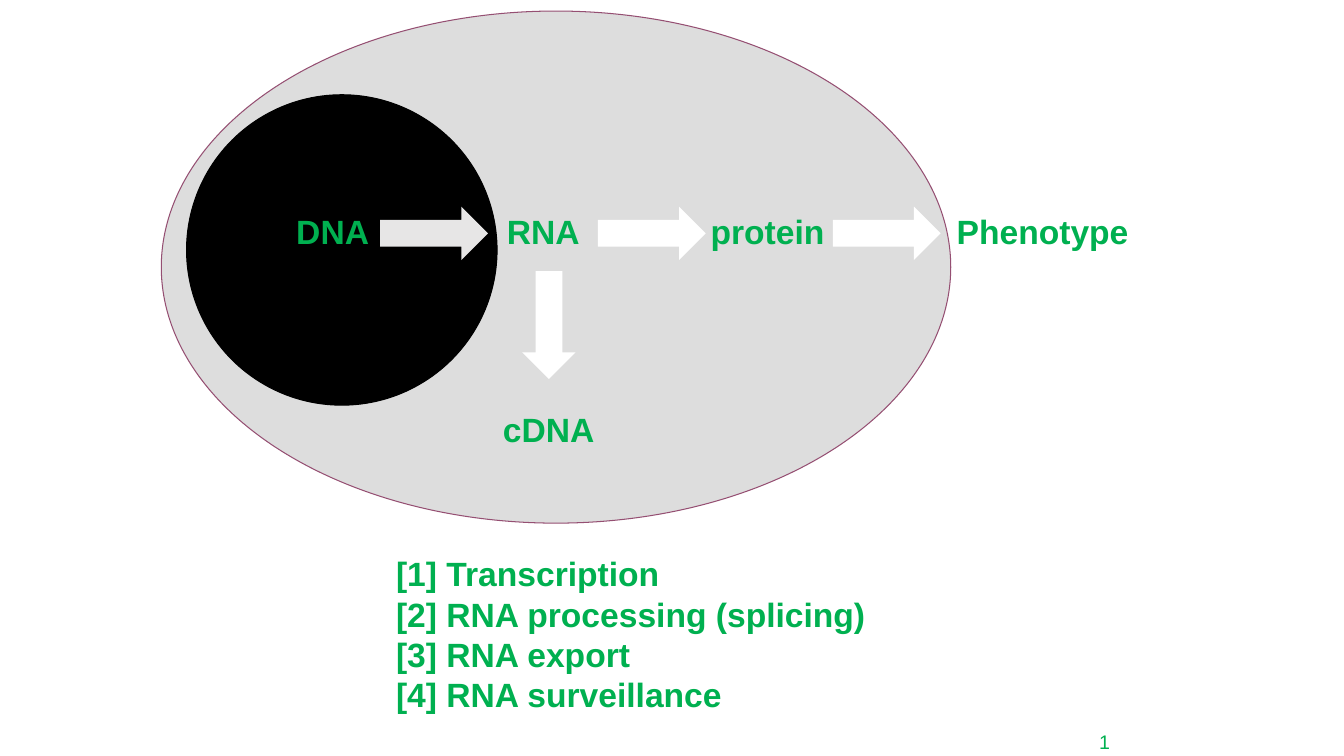
from pptx import Presentation
from pptx.util import Inches, Pt
from pptx.dml.color import RGBColor
from pptx.enum.shapes import MSO_SHAPE as Shape
from pptx.enum.text import PP_ALIGN as Align, MSO_ANCHOR as Anchor, MSO_AUTO_SIZE as Fit

COLORS = {"text": "00B050", "cell": "DDDDDD", "rim": "954F72",
          "core": "000000", "pale": "E7E6E6", "white": "FFFFFF"}
ROW = 2.04
LONG, WIDE = 1.07, 0.53
OVALS = [
    (1.6, 0.11, 7.83, 5.08, "cell", "rim"),
    (1.85, 0.94, 3.08, 3.08, "core", "core"),
]
LABELS = [
    ("DNA", 2.84, ROW, 0.93),
    ("RNA", 4.93, ROW, 0.93),
    ("protein", 6.95, ROW, 1.33),
    ("Phenotype", 9.39, ROW, 1.95),
    ("cDNA", 4.89, 4.01, 1.12),
]
RIGHT = [(3.77, "pale"), (5.93, "white"), (8.26, "white")]
STEPS = ["Transcription", "RNA processing (splicing)",
         "RNA export", "RNA surveillance"]


def color(name):
    return RGBColor.from_string(COLORS[name])


def add_form(slide, kind, box, fill, line=None):
    form = slide.shapes.add_shape(kind, *map(Inches, box))
    form.shadow.inherit = False
    form.fill.solid()
    form.fill.fore_color.rgb = color(fill)
    if line:
        form.line.color.rgb = color(line)
        form.line.width = Pt(0.75)
    else:
        form.line.fill.background()
    return form


def add_arrow(slide, kind, box, fill):
    arrow = add_form(slide, kind, box, fill)
    arrow.adjustments[0] = 0.5
    arrow.adjustments[1] = 0.5


def add_text(slide, text, box, size=24, bold=True):
    frame = slide.shapes.add_textbox(*map(Inches, box)).text_frame
    frame.text = text
    frame.word_wrap = False
    frame.auto_size = Fit.SHAPE_TO_FIT_TEXT if bold else Fit.NONE
    for para in frame.paragraphs:
        font = para.runs[0].font
        font.name = "Arial"
        font.size = Pt(size)
        font.bold = bold
        font.color.rgb = color("text")
    return frame


def main():
    deck = Presentation()
    deck.slide_width, deck.slide_height = Inches(13.33), Inches(7.5)
    slide = deck.slides.add_slide(deck.slide_layouts[6])

    page = add_text(slide, "1", (10.62, 7.11, 0.67, 0.5), 14, False)
    page.word_wrap = True
    page.vertical_anchor = Anchor.MIDDLE
    page.paragraphs[0].alignment = Align.CENTER

    for *box, fill, line in OVALS:
        add_form(slide, Shape.OVAL, box, fill, line)
    for left, fill in RIGHT:
        add_arrow(slide, Shape.RIGHT_ARROW, (left, 2.05, LONG, WIDE), fill)
    add_arrow(slide, Shape.DOWN_ARROW, (5.18, 2.69, WIDE, LONG), "white")
    for text, left, top, width in LABELS:
        add_text(slide, text, (left, top, width, 0.5))

    steps = "\n".join(f"[{i}] {step}" for i, step in enumerate(STEPS, 1))
    add_text(slide, steps, (3.83, 5.44, 4.9, 1.72))
    deck.save("out.pptx")


if __name__ == "__main__":
    main()
